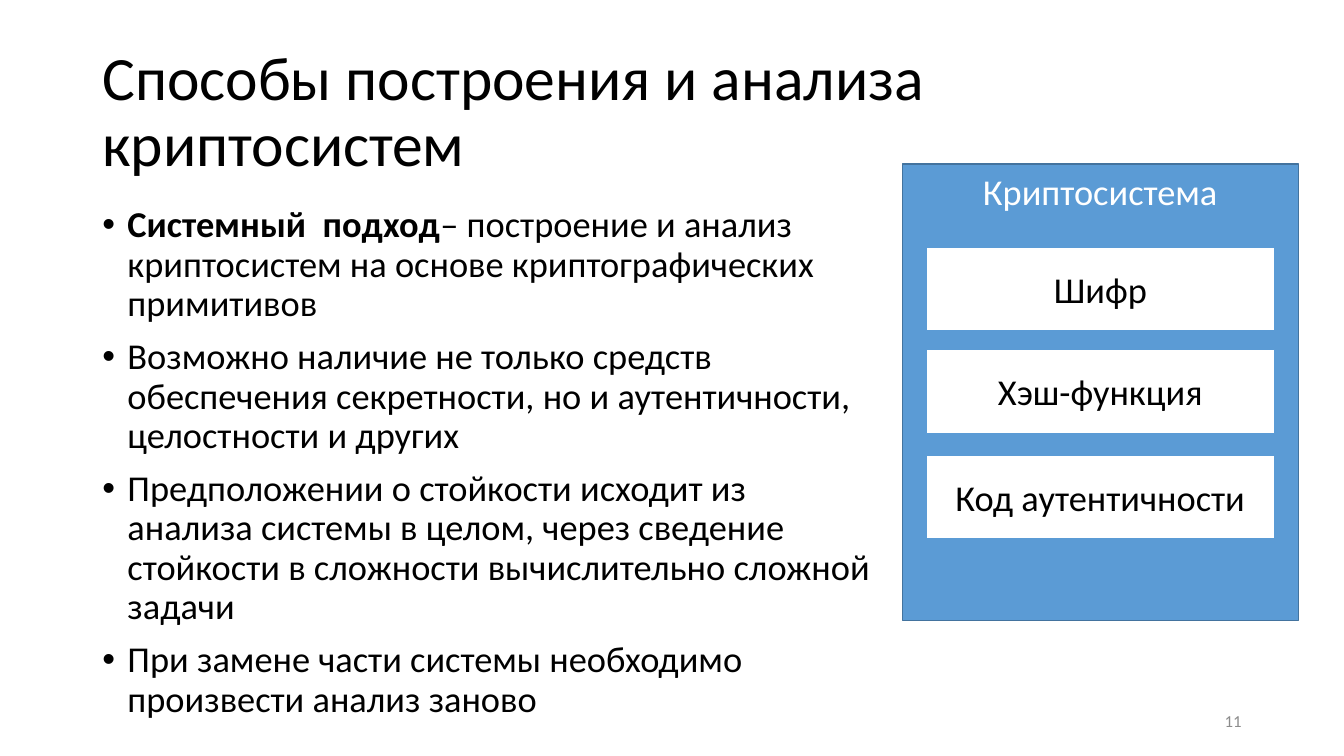
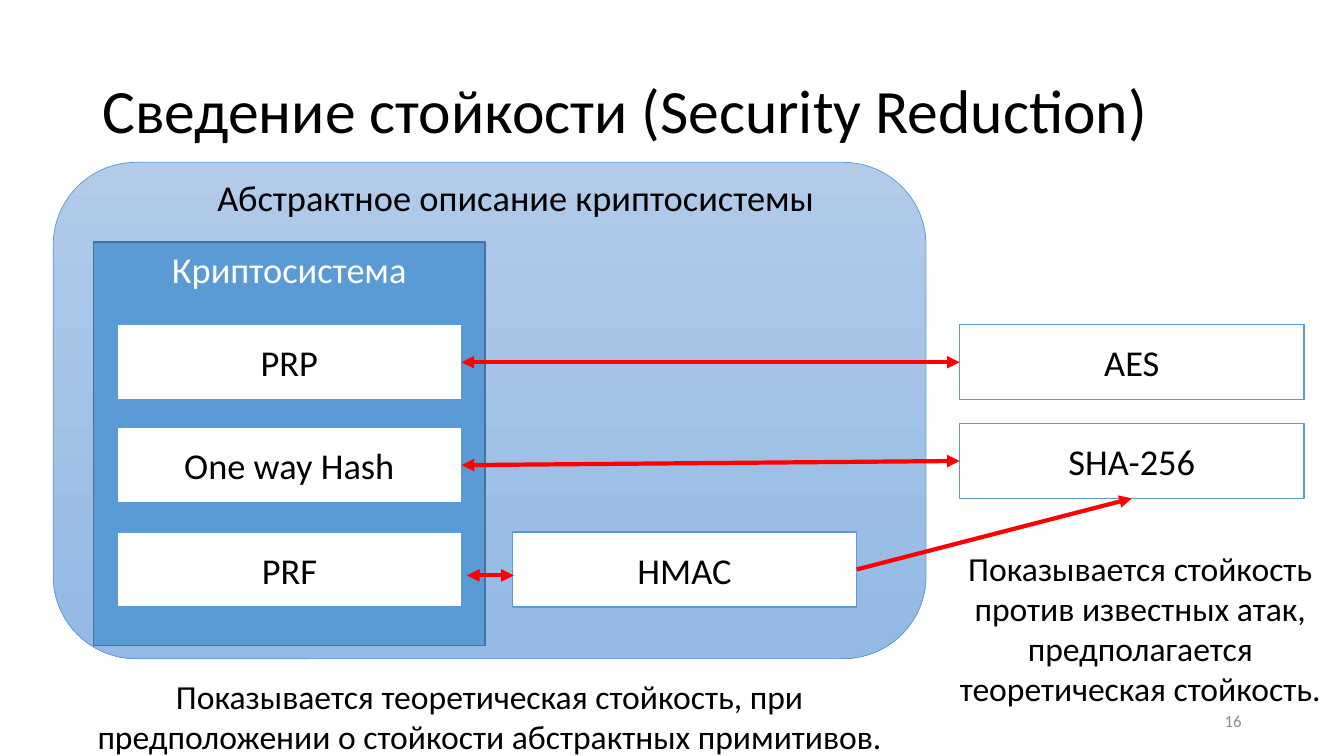
from lxml import etree
from pptx import Presentation
from pptx.dml.color import RGBColor
from pptx.enum.shapes import MSO_CONNECTOR, MSO_SHAPE
from pptx.enum.text import MSO_ANCHOR, PP_ALIGN
from pptx.oxml.ns import qn
from pptx.util import Pt

RECT, ROUND = MSO_SHAPE.RECTANGLE, MSO_SHAPE.ROUNDED_RECTANGLE
LINE = MSO_CONNECTOR.STRAIGHT
TOP, MIDDLE = MSO_ANCHOR.TOP, MSO_ANCHOR.MIDDLE
LEFT, CENTER, RIGHT = PP_ALIGN.LEFT, PP_ALIGN.CENTER, PP_ALIGN.RIGHT

FONT = "Calibri"
COLORS = {
    "text": "000000", "white": "FFFFFF", "gray": "8C8C8C",
    "blue": "5B9BD5", "edge": "43739E", "red": "FF0000",
    "light": "B1CBE9", "deep": "93B9E4",
}
INDENT = 18
BULLETS = [
    "– построение и анализ криптосистем на основе криптографических примитивов",
    "Возможно наличие не только средств обеспечения секретности, но и "
    "аутентичности, целостности и других",
    "Предположении о стойкости исходит из анализа системы в целом, через "
    "сведение стойкости в сложности вычислительно сложной задачи",
    "При замене части системы необходимо произвести анализ заново",
]


def color(name):
    return RGBColor.from_string(COLORS[name])


def style(par, size, tint="text", align=LEFT):
    par.alignment = align
    for run in par.runs:
        run.font.name = FONT
        run.font.size = Pt(size)
        run.font.color.rgb = color(tint)


# Text elements
def add_text(slide, box, text, size, tint="text", align=CENTER, anchor=TOP):
    frame = slide.shapes.add_textbox(*map(Pt, box)).text_frame
    frame.word_wrap = True
    frame.vertical_anchor = anchor
    frame.text = text
    style(frame.paragraphs[0], size, tint, align)
    return frame


def add_list(slide, box, lead, items):
    frame = add_text(slide, box, "\n".join(items), 26, align=LEFT)
    # The bold lead goes before the first item
    first = frame.paragraphs[0]
    first.text = lead
    first.runs[0].font.bold = True
    first.add_run().text = items[0]
    for par in frame.paragraphs:
        style(par, 26)
        par.line_spacing = 0.9
        par.space_before = Pt(10)
        props = par._p.get_or_add_pPr()
        props.set("marL", str(Pt(INDENT)))
        props.set("indent", str(Pt(-INDENT)))
        etree.SubElement(props, qn("a:buFont")).set("typeface", "Arial")
        etree.SubElement(props, qn("a:buChar")).set("char", "•")


def add_slide(deck, title, number):
    slide = deck.slides.add_slide(deck.slide_layouts[6])
    frame = add_text(slide, (66, 29, 828, 104), title, 44, align=LEFT, anchor=MIDDLE)
    frame.paragraphs[0].line_spacing = 0.9
    add_text(slide, (678, 500.5, 216, 29), number, 12, "gray", RIGHT, MIDDLE)
    return slide


# Diagram elements
def add_box(slide, box, text, fill="white", edge="blue", tint="text", anchor=MIDDLE):
    shape = slide.shapes.add_shape(RECT, *map(Pt, box))
    shape.shadow.inherit = False
    shape.fill.solid()
    shape.fill.fore_color.rgb = color(fill)
    shape.line.color.rgb = color(edge)
    shape.line.width = Pt(1)
    frame = shape.text_frame
    frame.word_wrap = True
    frame.vertical_anchor = anchor
    frame.text = text
    style(frame.paragraphs[0], 26, tint, CENTER)
    return shape


def add_system(slide, box, size, tops, names):
    """Panel with a centred column of primitives."""
    left, _, width, _ = box
    add_box(slide, box, "Криптосистема", "blue", "edge", "white", TOP)
    inner = left + (width - size[0]) / 2
    return [add_box(slide, (inner, top, *size), name)
            for top, name in zip(tops, names)]


def add_cloud(slide, box):
    shape = slide.shapes.add_shape(ROUND, *map(Pt, box))
    shape.shadow.inherit = False
    shape.fill.gradient()
    shape.fill.gradient_angle = 270
    for stop, name in zip(shape.fill.gradient_stops, ("light", "deep")):
        stop.color.rgb = color(name)
    shape.line.color.rgb = color("blue")
    shape.line.width = Pt(0.5)


def add_arrow(slide, ends=(0, 0, 0, 0), both=True):
    arrow = slide.shapes.add_connector(LINE, *map(Pt, ends))
    arrow.line.color.rgb = color("red")
    arrow.line.width = Pt(3)
    line = arrow.line._get_or_add_ln()
    for tag in ("a:headEnd", "a:tailEnd") if both else ("a:tailEnd",):
        etree.SubElement(line, qn(tag)).set("type", "triangle")
    etree.SubElement(arrow._element.spPr, qn("a:effectLst"))
    return arrow


def join(slide, start, end, side=1, both=True):
    arrow = add_arrow(slide, both=both)
    arrow.begin_connect(start, 3)
    arrow.end_connect(end, side)


# Slides
def build_methods(deck):
    slide = add_slide(deck, "Способы построения и анализа криптосистем", "11")
    add_list(slide, (66, 144, 570, 343), "Системный  подход", BULLETS)
    add_system(slide, (644.5, 117, 283, 326), (248.5, 60), (176.5, 249.5, 325),
               ("Шифр", "Хэш-функция", "Код аутентичности"))


def build_proof(deck):
    slide = add_slide(deck, "Сведение стойкости (Security Reduction)", "16")
    add_cloud(slide, (38, 116, 623.5, 354.5))
    size = (246, 53.5)
    tops = (232, 305.5, 380)
    prp, owf, _ = add_system(slide, (67, 173, 279.5, 288), size, tops,
                             ("PRP", "One way Hash", "PRF"))
    # Real algorithms
    aes = add_box(slide, (685.5, tops[0], *size), "AES")
    sha = add_box(slide, (685.5, 302.5, *size), "SHA-256")
    mac = add_box(slide, (366, tops[2], *size), "HMAC")
    # Links from primitives to algorithms
    join(slide, prp, aes)
    join(slide, owf, sha)
    add_arrow(slide, (333.5, 411, 367, 411))
    join(slide, mac, sha, 2, both=False)
    # Captions
    add_text(slide, (116, 121.5, 505.5, 39), "Абстрактное описание криптосистемы", 26)
    add_text(slide, (38, 479, 623.5, 65.5),
             "Показывается теоретическая стойкость, при предположении о "
             "стойкости абстрактных примитивов.", 24)
    add_text(slide, (669.5, 387.5, 290, 124),
             "Показывается стойкость против известных атак, предполагается "
             "теоретическая стойкость.", 24)


def main():
    deck = Presentation()
    deck.slide_width, deck.slide_height = Pt(960), Pt(540)
    build_methods(deck)
    build_proof(deck)
    deck.save("out.pptx")


if __name__ == "__main__":
    main()
